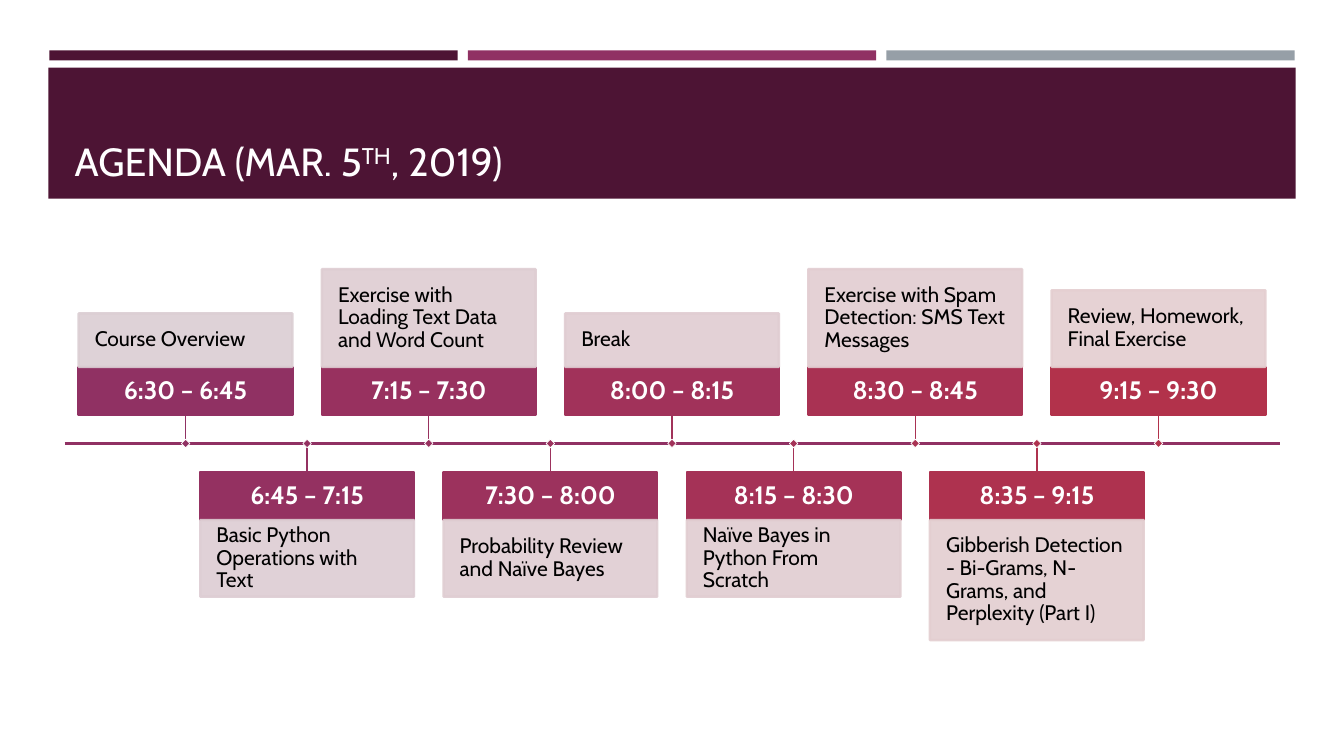
from dataclasses import dataclass

from lxml import etree
from pptx import Presentation
from pptx.dml.color import RGBColor
from pptx.enum.shapes import MSO_CONNECTOR, MSO_SHAPE
from pptx.enum.text import MSO_ANCHOR, MSO_AUTO_SIZE, PP_ALIGN
from pptx.oxml.ns import qn
from pptx.util import Inches, Pt

RECT = MSO_SHAPE.RECTANGLE
STRAIGHT = MSO_CONNECTOR.STRAIGHT
LEFT, CENTER = PP_ALIGN.LEFT, PP_ALIGN.CENTER
MIDDLE, BOTTOM = MSO_ANCHOR.MIDDLE, MSO_ANCHOR.BOTTOM

FONT = "Cabin"
PLUM, MAGENTA, GREY = "4D1434", "903163", "969FA7"
WHITE, BLACK, TITLE_COLOR = "FFFFFF", "000000", "FFFEFF"

# Timeline geometry in inches
AXIS_Y, AXIS_LEFT, AXIS_RIGHT = 4.4, 0.64, 12.7
FIRST_LEFT, LAST_LEFT = 0.78, 10.43
CARD_W, TIME_H, STEM, MARKER = 2.12, 0.48, 0.28, 0.06


@dataclass
class Session:
    time: str
    topic: str
    topic_h: float
    color: str
    tint: str


SESSIONS = [
    Session("6:30 – 6:45", "Course Overview", 0.53, "903163", "DBCED3"),
    Session("6:45 – 7:15", "Basic Python Operations with Text", 0.76, "943161", "DDCDD3"),
    Session("7:15 – 7:30", "Exercise with Loading Text Data and Word Count", 0.97,
            "98315F", "DECDD2"),
    Session("7:30 – 8:00", "Probability Review and Naïve Bayes", 0.76, "9C325D", "DFCDD2"),
    Session("8:00 – 8:15", "Break", 0.53, "A1325A", "E0CDD2"),
    Session("8:15 – 8:30", "Naïve Bayes in Python From Scratch", 0.76, "A53257", "E1CDD1"),
    Session("8:30 – 8:45", "Exercise with Spam Detection: SMS Text Messages", 0.97,
            "A93253", "E2CDD1"),
    Session("8:35 – 9:15", "Gibberish Detection - Bi-Grams, N-Grams, and Perplexity (Part I)",
            1.19, "AE324F", "E3CED0"),
    Session("9:15 – 9:30", "Review, Homework, Final Exercise", 0.76, "B2324B", "E4CED0"),
]


def rgb(value: str) -> RGBColor:
    return RGBColor.from_string(value)


def add_rect(s, x: float, y: float, w: float, h: float, fill: str,
             line: str = "", width: float = 0):
    sp = s.shapes.add_shape(RECT, Inches(x), Inches(y), Inches(w), Inches(h))
    sp.shadow.inherit = False
    sp.fill.solid()
    sp.fill.fore_color.rgb = rgb(fill)
    if line:
        sp.line.color.rgb = rgb(line)
        sp.line.width = Pt(width)
    else:
        sp.line.fill.background()
    return sp


def set_opacity(sp, percent: int) -> None:
    for color in sp._element.spPr.iter(qn("a:srgbClr")):
        etree.SubElement(color, qn("a:alpha")).set("val", str(percent * 1000))


def add_line(s, x1: float, y1: float, x2: float, y2: float, color: str, width: float) -> None:
    cxn = s.shapes.add_connector(STRAIGHT, Inches(x1), Inches(y1), Inches(x2), Inches(y2))
    cxn.line.color.rgb = rgb(color)
    cxn.line.width = Pt(width)
    etree.SubElement(cxn._element.spPr, qn("a:effectLst"))


def add_run(p, text: str, size: float, color: str, bold: bool = False):
    r = p.add_run()
    r.text = text
    r.font.name = FONT
    r.font.size = Pt(size)
    r.font.bold = bold
    r.font.color.rgb = rgb(color)
    return r


def write_card(sp, text: str, size: float, color: str, inset: float, align,
               bold: bool = False) -> None:
    tf = sp.text_frame
    tf.word_wrap = True
    tf.vertical_anchor = MIDDLE
    tf.margin_left = tf.margin_right = tf.margin_top = tf.margin_bottom = Inches(inset)
    p = tf.paragraphs[0]
    p.alignment = align
    p.line_spacing = 0.9
    add_run(p, text, size, color, bold)


def add_session(s, session: Session, left: float, above: bool) -> None:
    if above:
        time_y = AXIS_Y - STEM - TIME_H
        topic_y = time_y - session.topic_h
        stem_y = AXIS_Y - STEM
    else:
        time_y = AXIS_Y + STEM
        topic_y = time_y + TIME_H
        stem_y = time_y
    center = left + CARD_W / 2

    sp = add_rect(s, left, time_y, CARD_W, TIME_H, session.color, session.color, 1.75)
    write_card(sp, session.time, 18, WHITE, 0.1, CENTER, bold=True)
    sp = add_rect(s, left, topic_y, CARD_W, session.topic_h, session.tint, session.tint, 1.75)
    set_opacity(sp, 90)
    write_card(sp, session.topic, 15, BLACK, 0.16, LEFT)

    add_line(s, center, min(stem_y, AXIS_Y), center, max(stem_y, AXIS_Y), session.color, 1)
    marker = add_rect(s, center - MARKER / 2, AXIS_Y - MARKER / 2, MARKER, MARKER,
                      session.color, WHITE, 0.5)
    marker.rotation = 45


def add_title(s) -> None:
    title = s.shapes.title
    title.left, title.top = Inches(0.64), Inches(0.77)
    title.width, title.height = Inches(12.06), Inches(1.11)
    s.shapes._spTree.append(title._element)  # in front of the banner
    tf = title.text_frame
    tf.word_wrap = True
    tf.auto_size = MSO_AUTO_SIZE.NONE
    tf.vertical_anchor = BOTTOM
    p = tf.paragraphs[0]
    p.alignment = LEFT
    add_run(p, "AGENDA (MAR. 5", 28, TITLE_COLOR)
    r = add_run(p, "TH", 28, TITLE_COLOR)
    r._r.get_or_add_rPr().set("baseline", "30000")
    add_run(p, ", 2019)", 28, TITLE_COLOR)


def main() -> None:
    prs = Presentation()
    prs.slide_width, prs.slide_height = Inches(13.33), Inches(7.5)
    s = prs.slides.add_slide(prs.slide_layouts[5])

    # Banner with three accent bars
    for i, color in enumerate((PLUM, MAGENTA, GREY)):
        add_rect(s, 0.49 + 4.15 * i, 0.5, 4.05, 0.1, color)
    add_rect(s, 0.48, 0.67, 12.37, 1.3, PLUM)
    add_title(s)

    # Timeline, sessions alternating above and below the axis
    add_line(s, AXIS_LEFT, AXIS_Y, AXIS_RIGHT, AXIS_Y, MAGENTA, 1.75)
    pitch = (LAST_LEFT - FIRST_LEFT) / (len(SESSIONS) - 1)
    for i, session in enumerate(SESSIONS):
        add_session(s, session, FIRST_LEFT + pitch * i, above=i % 2 == 0)

    prs.save("out.pptx")


if __name__ == "__main__":
    main()
